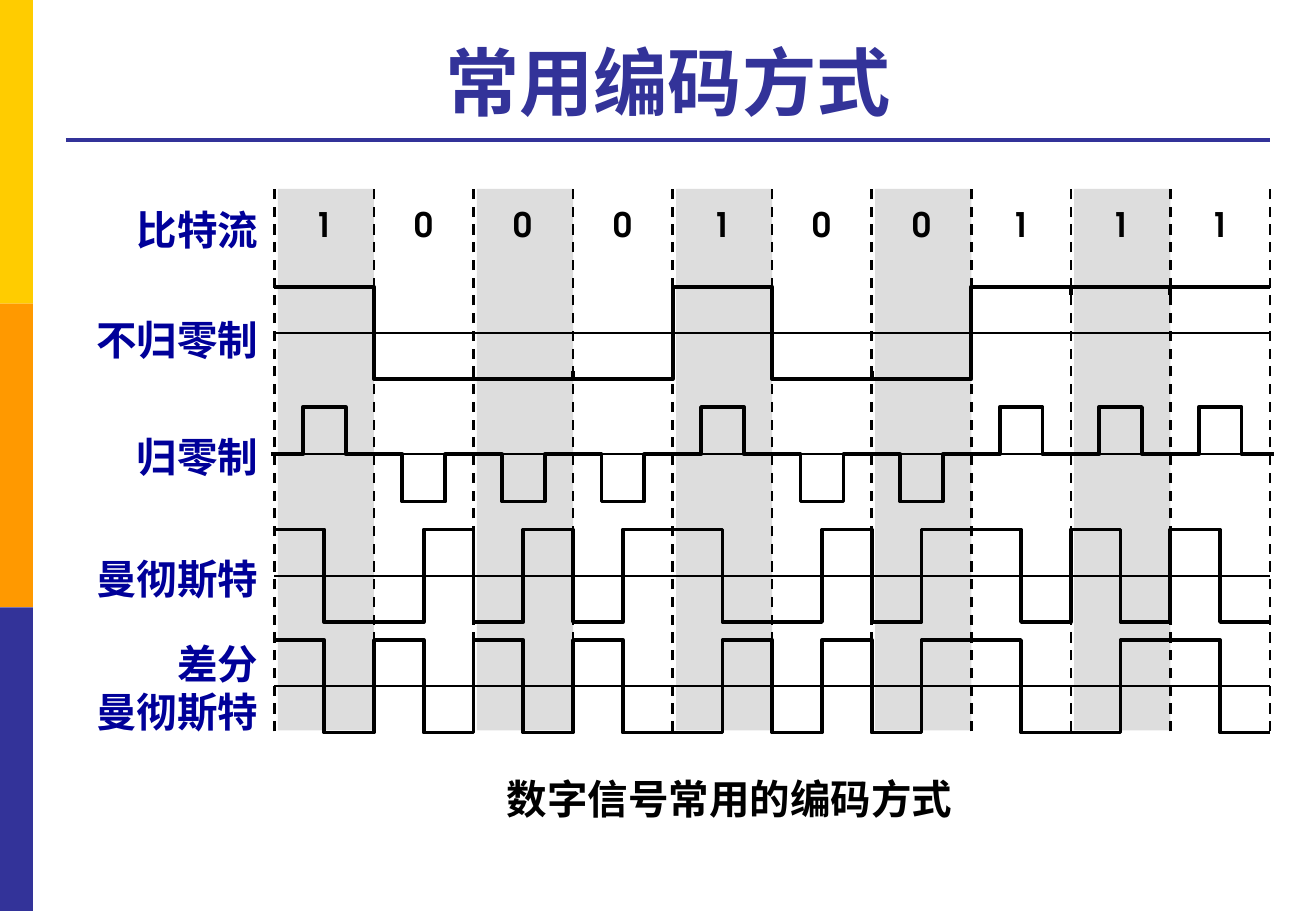
from dataclasses import dataclass
from itertools import chain

from lxml.etree import SubElement
from pptx import Presentation
from pptx.dml.color import RGBColor
from pptx.enum.dml import MSO_LINE
from pptx.enum.shapes import MSO_CONNECTOR, MSO_SHAPE
from pptx.enum.text import MSO_ANCHOR, MSO_AUTO_SIZE, PP_ALIGN
from pptx.oxml.ns import qn
from pptx.util import Pt


@dataclass(frozen=True)
class Theme:
    yellow: str = "FFCC00"
    orange: str = "FF9900"
    indigo: str = "333399"
    label: str = "000099"
    band: str = "DDDDDD"
    ink: str = "000000"
    font: str = "Arial"
    bit_font: str = "TeX Gyre Adventor"
    title_size: float = 44
    text_size: float = 24
    bit_size: float = 20
    signal_width: float = 2.25
    edge_width: float = 1.5
    axis_width: float = 1


@dataclass(frozen=True)
class Label:
    lines: tuple[str, ...]
    top: float
    left: float = 45.7
    width: float = 114.5
    height: float = 36
    align: PP_ALIGN = PP_ALIGN.RIGHT
    color: str = Theme.label
    size: float = Theme.text_size
    font: str = Theme.font
    wrap: bool = True


@dataclass(frozen=True)
class Block:
    left: float
    top: float
    width: float
    height: float
    color: str


@dataclass(frozen=True)
class Stroke:
    x1: float
    y1: float
    x2: float
    y2: float
    width: float
    color: str = Theme.ink
    dashed: bool = False


@dataclass(frozen=True)
class Wave:
    axis: float
    halves: list[int]


Points = list[tuple[float, float]]

# Bit grid
BITS = [1, 0, 0, 0, 1, 0, 0, 1, 1, 1]
START, CELL = 162.7, 59
EDGES = [START + CELL * i for i in range(len(BITS) + 1)]
CENTRES = [edge + CELL / 2 for edge in EDGES[:-1]]
TOP, BOTTOM = 110.2, 433.5
NRZ_AXIS, RZ_AXIS, MANCHESTER_AXIS, DIFFERENTIAL_AXIS = 197.3, 269.3, 341.3, 406.8
SWING, PULSE_HEIGHT, TICK = 27.4, 28, 5


def differential_halves(bits: list[int]) -> list[int]:
    halves, last = [], 1
    for bit in bits:
        first = last if bit else 1 - last
        last = 1 - first
        halves += [first, last]
    return halves


def wave_points(wave: Wave) -> Points:
    points = []
    for i, level in enumerate(wave.halves):
        y = wave.axis + (-SWING if level else SWING)
        x = START + i * CELL / 2
        points += [(x, y), (x + CELL / 2, y)]
    return points


def pulse_points(centre: float, bit: int) -> Points:
    peak = RZ_AXIS + (-PULSE_HEIGHT if bit else PULSE_HEIGHT)
    return [(centre - 31.7, RZ_AXIS), (centre - 12.7, RZ_AXIS), (centre - 12.7, peak),
            (centre + 12.7, peak), (centre + 12.7, RZ_AXIS), (centre + 31.7, RZ_AXIS)]


def style_text(frame, label: Label) -> None:
    for paragraph in frame.paragraphs:
        paragraph.alignment = label.align
        formats = {"name": label.font, "size": Pt(label.size), "bold": True}
        for key, value in formats.items():
            setattr(paragraph.font, key, value)
        paragraph.font.color.rgb = RGBColor.from_string(label.color)


def draw_label(shapes, label: Label) -> None:
    box = shapes.add_textbox(Pt(label.left), Pt(label.top), Pt(label.width), Pt(label.height))
    frame = box.text_frame
    frame.text = "\n".join(label.lines)
    frame.word_wrap = label.wrap
    frame.auto_size = MSO_AUTO_SIZE.SHAPE_TO_FIT_TEXT
    style_text(frame, label)


def draw_block(shapes, block: Block) -> None:
    rect = shapes.add_shape(MSO_SHAPE.RECTANGLE, Pt(block.left), Pt(block.top),
                            Pt(block.width), Pt(block.height))
    rect.shadow.inherit = False
    rect.fill.solid()
    rect.fill.fore_color.rgb = RGBColor.from_string(block.color)
    rect.line.fill.background()


def draw_stroke(shapes, stroke: Stroke) -> None:
    line = shapes.add_connector(MSO_CONNECTOR.STRAIGHT, Pt(stroke.x1), Pt(stroke.y1),
                                Pt(stroke.x2), Pt(stroke.y2))
    line.line.color.rgb = RGBColor.from_string(stroke.color)
    line.line.width = Pt(stroke.width)
    if stroke.dashed:
        line.line.dash_style = MSO_LINE.DASH
    SubElement(line.element.spPr, qn("a:effectLst"))


def draw_signal(shapes, points: Points) -> None:
    corners = [(Pt(x), Pt(y)) for x, y in points]
    builder = shapes.build_freeform(*corners[0])
    builder.add_line_segments(corners[1:], close=False)
    signal = builder.convert_to_shape()
    signal.shadow.inherit = False
    signal.fill.background()
    signal.line.color.rgb = RGBColor.from_string(Theme.ink)
    signal.line.width = Pt(Theme.signal_width)


def main() -> None:
    deck = Presentation()
    deck.slide_width, deck.slide_height = Pt(780), Pt(540)
    slide = deck.slides.add_slide(deck.slide_layouts[5])
    shapes = slide.shapes

    # Side bars and title
    for i, color in enumerate((Theme.yellow, Theme.orange, Theme.indigo)):
        draw_block(shapes, Block(0, 180 * i, 19.5, 180, color))
    draw_stroke(shapes, Stroke(39, 82.8, 753, 82.8, Theme.signal_width, Theme.indigo))
    title = shapes.title
    placement = {"left": 39, "top": 15, "width": 714, "height": 62.7}
    for key, value in placement.items():
        setattr(title, key, Pt(value))
    title.text_frame.text = "常用编码方式"
    title.text_frame.vertical_anchor = MSO_ANCHOR.BOTTOM
    style_text(title.text_frame, Label((), 0, align=PP_ALIGN.CENTER, color=Theme.indigo,
                                       size=Theme.title_size))

    # Shaded cells and bit values
    for edge in EDGES[:-1:2]:
        draw_block(shapes, Block(edge + 2, 112, CELL - 2, 321, Theme.band))
    for centre, bit in zip(CENTRES, BITS):
        draw_label(shapes, Label((str(bit),), 117.4, centre - 13.3, 26.6, 31, PP_ALIGN.CENTER,
                                 Theme.ink, Theme.bit_size, Theme.bit_font, False))

    # Row labels and caption
    for label in (Label(("比特流",), 118), Label(("不归零制",), 183), Label(("归零制",), 252.7),
                  Label(("曼彻斯特",), 324.7),
                  Label(("差分", "曼彻斯特"), 375.1, height=65.5),
                  Label(("数字信号常用的编码方式",), 455, 236.2, 392.4,
                        align=PP_ALIGN.CENTER, color=Theme.ink)):
        draw_label(shapes, label)

    # Signals
    for wave in (Wave(NRZ_AXIS, [bit for bit in BITS for _ in range(2)]),
                 Wave(MANCHESTER_AXIS, list(chain.from_iterable((b, 1 - b) for b in BITS))),
                 Wave(DIFFERENTIAL_AXIS, differential_halves(BITS))):
        draw_signal(shapes, wave_points(wave))
    for centre, bit in zip(CENTRES, BITS):
        draw_signal(shapes, pulse_points(centre, bit))

    # Ticks between equal bits
    for edge, before, after in zip(EDGES[1:], BITS, BITS[1:]):
        if before == after:
            y = NRZ_AXIS - SWING if after else NRZ_AXIS + SWING - TICK
            draw_stroke(shapes, Stroke(edge, y, edge, y + TICK, Theme.signal_width))

    # Cell edges and zero axes
    for edge in EDGES:
        draw_stroke(shapes, Stroke(edge, BOTTOM, edge, TOP, Theme.edge_width, dashed=True))
    for axis in (NRZ_AXIS, RZ_AXIS, MANCHESTER_AXIS, DIFFERENTIAL_AXIS):
        draw_stroke(shapes, Stroke(START, axis, EDGES[-1], axis, Theme.axis_width))

    deck.save("out.pptx")


if __name__ == "__main__":
    main()
